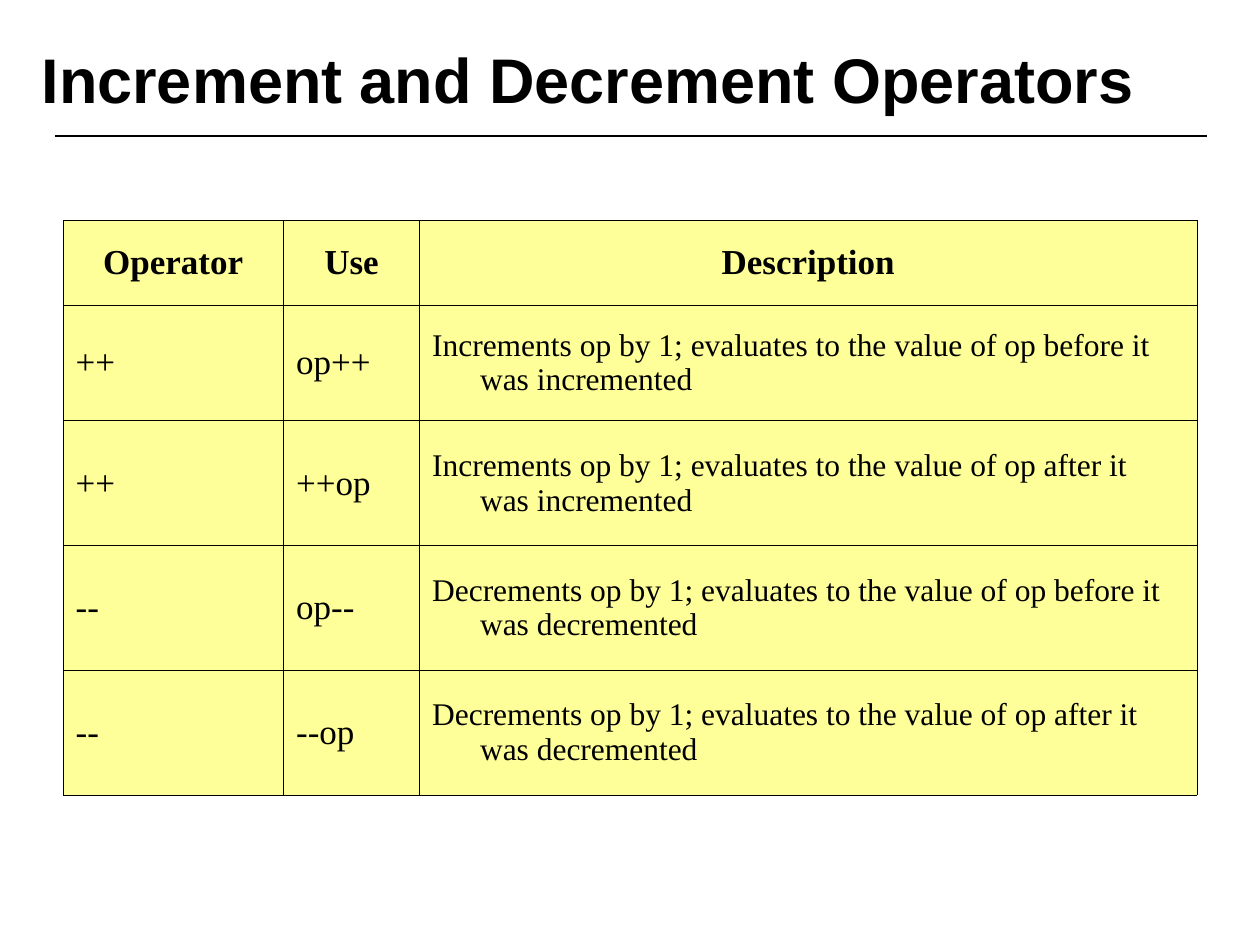
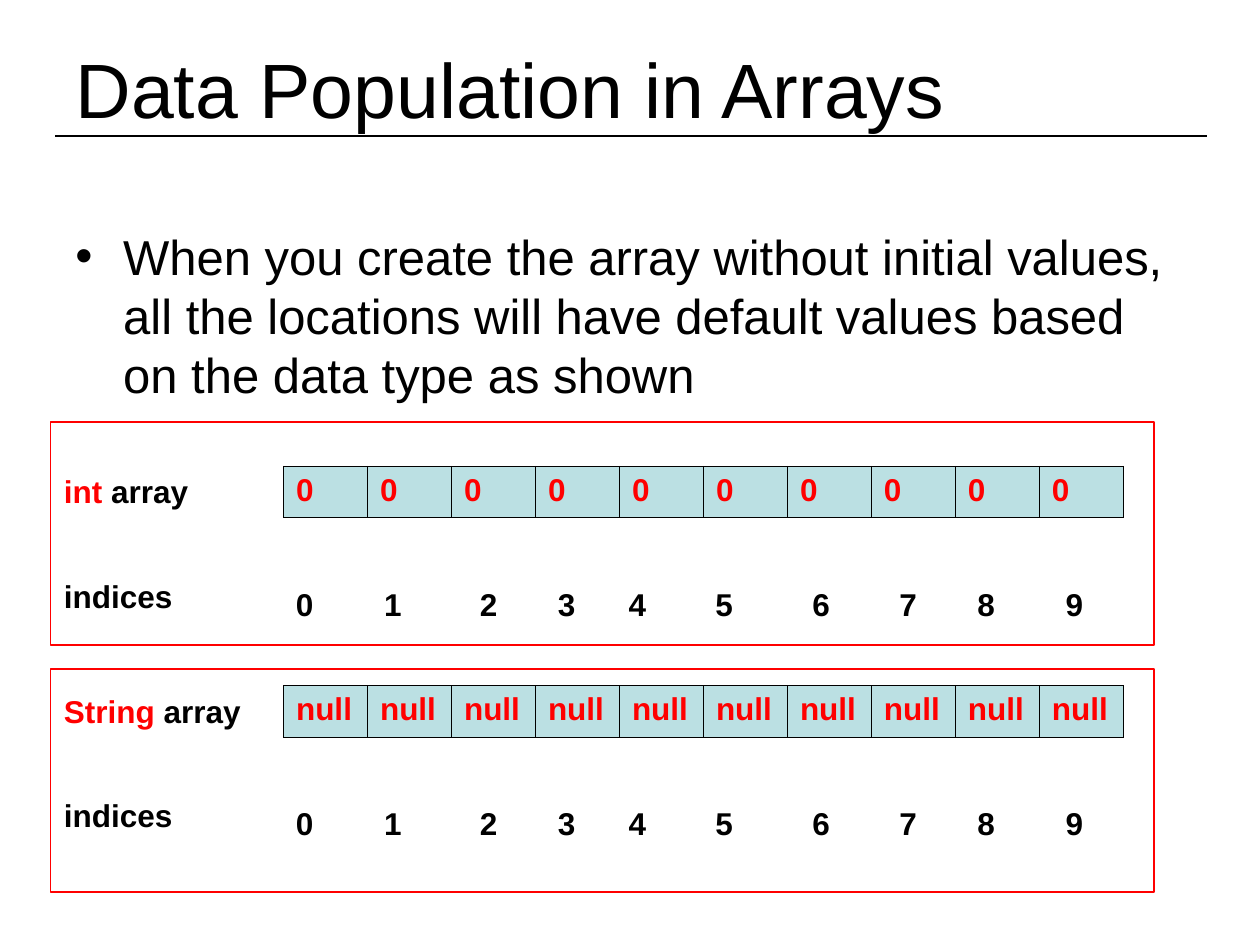
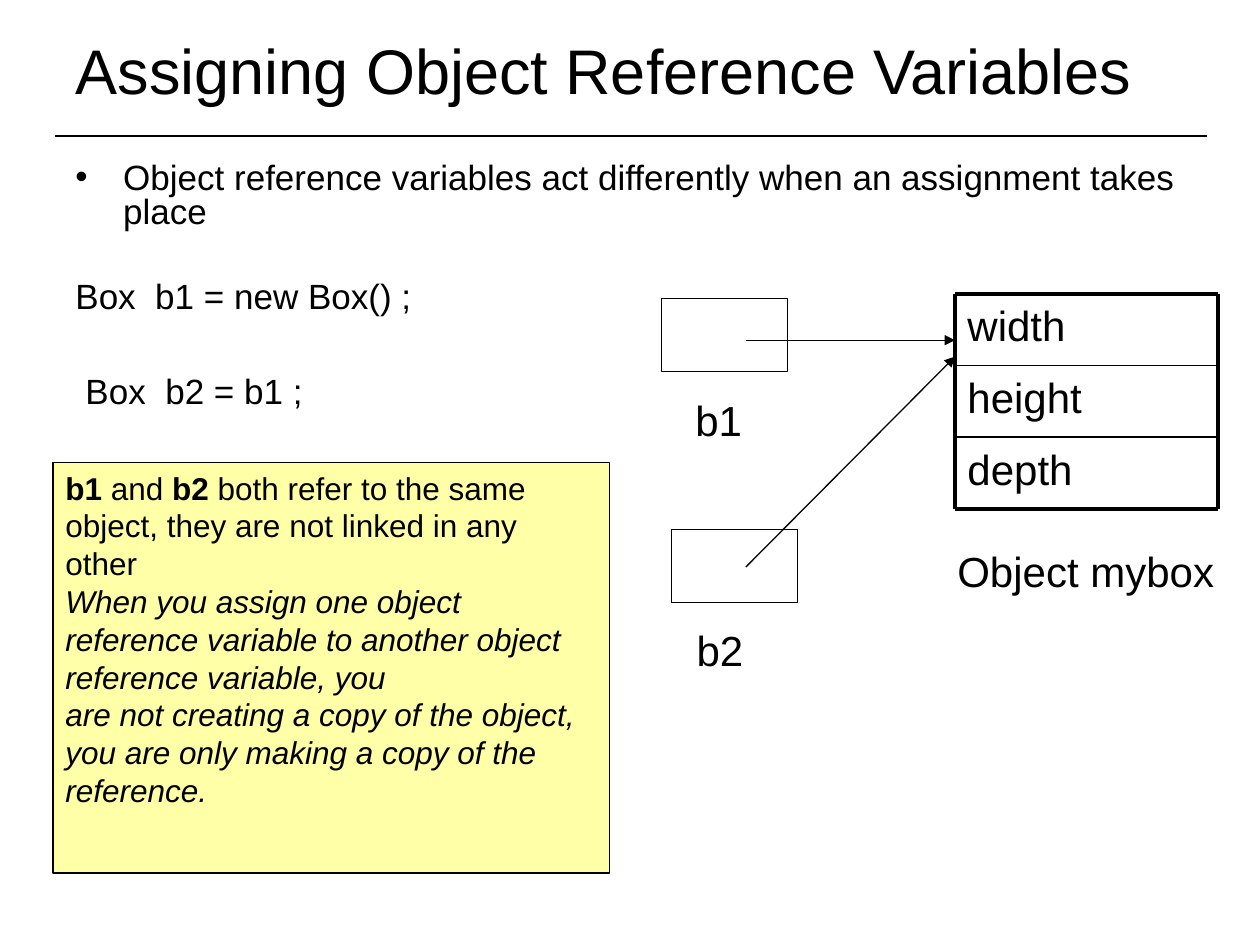
from lxml import etree
from pptx import Presentation
from pptx.dml.color import RGBColor
from pptx.enum.shapes import MSO_CONNECTOR, MSO_SHAPE
from pptx.enum.text import MSO_ANCHOR, MSO_AUTO_SIZE, PP_ALIGN
from pptx.oxml.ns import qn
from pptx.util import Inches, Pt

LEFT, CENTER = PP_ALIGN.LEFT, PP_ALIGN.CENTER
TOP, MIDDLE = MSO_ANCHOR.TOP, MSO_ANCHOR.MIDDLE
RECT, STRAIGHT = MSO_SHAPE.RECTANGLE, MSO_CONNECTOR.STRAIGHT
NO_FIT = MSO_AUTO_SIZE.NONE

COLS, ROWS = 10, 7.5  # the slide as a grid of one-inch cells
TITLE_ONLY = 5
HANG = 0.38
COLORS = {"ink": "000000", "red": "FF0000", "table": "FFFF99",
          "note": "FFFFA7", "cell": "BBE0E3"}


def rgb(name):
    return RGBColor.from_string(COLORS[name])


def grid(*cells):
    return [Inches(c) for c in cells]


# Text
def write(tf, paras, size=18, font="Arial", color="ink", bold=False,
          italic=False, align=LEFT, anchor=TOP, wrap=True, hang=0,
          bullet=False, spacing=None, tabs=()):
    """Fill a frame; a paragraph is a string or a list of (text, overrides)."""
    tf.word_wrap = wrap
    tf.auto_size = NO_FIT
    tf.vertical_anchor = anchor
    tf.margin_left = tf.margin_right = Inches(0.1)
    tf.margin_top = tf.margin_bottom = Inches(0.05)
    for i, para in enumerate(paras):
        p = tf.add_paragraph() if i else tf.paragraphs[0]
        format_paragraph(p, hang, bullet, tabs)
        p.alignment = align
        if spacing:
            p.line_spacing = spacing
        for text, changes in [(para, {})] if isinstance(para, str) else para:
            r = p.add_run()
            r.text = text
            r.font.name = font
            r.font.size = Pt(size)
            r.font.bold = changes.get("bold", bold)
            r.font.italic = changes.get("italic", italic)
            r.font.color.rgb = rgb(changes.get("color", color))


def format_paragraph(p, hang, bullet, tabs):
    pPr = p._p.get_or_add_pPr()
    if hang:
        pPr.set("marL", str(Inches(hang)))
        pPr.set("indent", str(-Inches(hang)))
    if bullet:
        etree.SubElement(pPr, qn("a:buFont"), typeface="Arial")
        etree.SubElement(pPr, qn("a:buChar"), char="•")
    if tabs:
        stops = etree.SubElement(pPr, qn("a:tabLst"))
        for stop in tabs:
            etree.SubElement(stops, qn("a:tab"), pos=str(Inches(stop)), algn="l")


def add_text(slide, box, *paras, **style):
    sp = slide.shapes.add_textbox(*grid(*box))
    write(sp.text_frame, paras, **style)


# Shapes and lines
def add_box(slide, box, line="ink", fill=None):
    sp = slide.shapes.add_shape(RECT, *grid(*box))
    sp.shadow.inherit = False
    sp.line.color.rgb = rgb(line)
    sp.line.width = Pt(0.75)
    if fill:
        sp.fill.solid()
        sp.fill.fore_color.rgb = rgb(fill)
    else:
        sp.fill.background()
    return sp


def add_line(slide, x1, y1, x2, y2, width=0.75, arrow=False):
    line = slide.shapes.add_connector(STRAIGHT, *grid(x1, y1, x2, y2))
    line.line.color.rgb = rgb("ink")
    line.line.width = Pt(width)
    if arrow:
        etree.SubElement(line.line._get_or_add_ln(), qn("a:tailEnd"), type="triangle")
    etree.SubElement(line._element.spPr, qn("a:effectLst"))


# Tables
def add_grid_table(slide, x, y, widths, heights, border):
    table = slide.shapes.add_table(
        len(heights), len(widths), *grid(x, y, sum(widths), sum(heights))).table
    table.first_row = table.horz_banding = False
    for col, width in zip(table.columns, widths):
        col.width = Inches(width)
    for row, height in zip(table.rows, heights):
        row.height = Inches(height)
    for cell in table.iter_cells():
        add_borders(cell, border)
    return table


def add_borders(cell, width):
    tcPr = cell._tc.get_or_add_tcPr()
    for side in ("lnL", "lnR", "lnT", "lnB"):
        ln = etree.SubElement(tcPr, qn("a:" + side), w=str(Pt(width)))
        fill = etree.SubElement(ln, qn("a:solidFill"))
        etree.SubElement(fill, qn("a:srgbClr"), val=COLORS["ink"])


def fill_cell(cell, text, fill, anchor=TOP, **style):
    cell.fill.solid()
    cell.fill.fore_color.rgb = rgb(fill)
    write(cell.text_frame, [text], **style)
    cell.vertical_anchor = anchor
    cell.margin_left = cell.margin_right = Inches(0.1)
    cell.margin_top = cell.margin_bottom = Inches(0.05)


# Shared frame: title and rule
def add_titled_slide(prs, title, box, size=36, bold=False):
    slide = prs.slides.add_slide(prs.slide_layouts[TITLE_ONLY])
    add_line(slide, 0.44, 1.08, 9.58, 1.08)
    sp = slide.shapes.title
    sp.left, sp.top, sp.width, sp.height = grid(*box)
    write(sp.text_frame, [title], size=size, bold=bold, anchor=MIDDLE)
    return slide


# Slide 1
def operators_slide(prs):
    slide = add_titled_slide(prs, "Increment and Decrement Operators",
                             (0.23, 0.3, 9.5, 0.65), bold=True)
    rows = [("Operator", "Use", "Description")]
    for sign, verb in (("++", "Increment"), ("--", "Decrement")):
        for use, when in (("op" + sign, "before"), (sign + "op", "after")):
            rows.append((sign, use, f"{verb}s op by 1; evaluates to the value "
                                    f"of op {when} it was {verb.lower()}ed"))
    table = add_grid_table(slide, 0.5, 1.75, [1.75, 1.08, 6.17],
                           [0.67, 0.92] + [0.99] * 3, border=0.34)
    for i, row in enumerate(rows):
        for j, text in enumerate(row):
            header = i == 0
            fill_cell(table.cell(i, j), text, "table", anchor=MIDDLE,
                      font="Times New Roman", hang=HANG, bold=header,
                      size=20 if header or j < 2 else 18,
                      align=CENTER if header else LEFT)


# Slide 2
def add_array(slide, y, kind, value, frame_y):
    count, x = 10, 2.25
    table = add_grid_table(slide, x, y, [2 / 3] * count, [0.41], border=0.45)
    for cell in table.iter_cells():
        fill_cell(cell, value, "cell", color="red", bold=True)
    add_text(slide, (0.41, y, 1.6, 0.4),
             [(kind, {"color": "red"}), (" array", {})], bold=True)
    add_text(slide, (0.41, y + 0.83, 1.06, 0.4), "indices", bold=True, wrap=False)
    add_text(slide, (x, y + 0.89, 6.67, 0.4),
             "\t".join(str(i) for i in range(count)), bold=True,
             tabs=(0.7, 1.46, 2.08, 2.64, 3.33, 4.1, 4.79, 5.41, 6.11))
    add_box(slide, (0.4, frame_y, 8.76, 1.77), line="red")


def arrays_slide(prs):
    slide = add_titled_slide(prs, "Data Population in Arrays",
                             (0.5, 0.3, 9, 0.79), size=44)
    add_text(slide, (0.5, 1.75, 9, 1.6),
             "When you create the array without initial values, all the locations "
             "will have default values based on the data type as shown",
             size=28, hang=HANG, bullet=True)
    add_array(slide, 3.7, "int", "0", frame_y=3.35)
    add_array(slide, 5.44, "String", "null", frame_y=5.31)


# Slide 3
def add_object(slide, x, y, width, fields, row=0.57):
    right, bottom = x + width, y + row * len(fields)
    for i, field in enumerate(fields):
        add_text(slide, (x, y + i * row, width, row), field, size=24)
        add_line(slide, x, y + i * row, right, y + i * row, 1 if i else 2.25)
    add_line(slide, x, bottom, right, bottom, 2.25)
    for edge in (x, right):
        add_line(slide, edge, y, edge, bottom, 2.25)
    add_text(slide, (x - 0.08, bottom + 0.24, 2.24, 0.5), "Object mybox",
             size=24, wrap=False)


def add_reference(slide, name, box_x, box_y, label_x, start_y, end_y):
    add_box(slide, (box_x, box_y, 1, 0.58))
    add_text(slide, (label_x, box_y + 0.71, 0.57, 0.5), name, size=24, wrap=False)
    add_line(slide, 5.92, start_y, 7.58, end_y, arrow=True)


def references_slide(prs):
    slide = add_titled_slide(prs, "Assigning Object Reference Variables",
                             (0.5, 0.3, 9, 0.5))
    add_text(slide, (0.5, 1.25, 9, 0.75),
             "Object reference variables act differently when an assignment "
             "takes place", size=20, hang=HANG, bullet=True, spacing=0.8)
    add_text(slide, (0.5, 2.13, 3.75, 0.53), "Box  b1 = new Box() ;", size=20)
    add_text(slide, (0.58, 2.88, 3.75, 0.53), "Box  b2 = b1 ;", size=20)

    add_object(slide, 7.58, 2.33, 2.09, ["width", "height", "depth"])
    add_reference(slide, "b1", 5.25, 2.37, 5.42, 2.7, 2.7)
    add_reference(slide, "b2", 5.33, 4.2, 5.43, 4.5, 2.83)

    bold, italic = {"bold": True}, {"italic": True}
    note = add_box(slide, (0.42, 3.67, 4.42, 3.26), fill="note")
    write(note.text_frame, [
        [("b1 ", bold), ("and ", {}), ("b2 ", bold),
         ("both refer to the same object, they are not linked in any other", {})],
        [("When you assign one object reference variable to another object "
          "reference variable, you", italic)],
        [("are not creating a copy of the object, you are only making a copy "
          "of the reference.", italic)]])


def main():
    prs = Presentation()
    prs.slide_width, prs.slide_height = grid(COLS, ROWS)
    operators_slide(prs)
    arrays_slide(prs)
    references_slide(prs)
    prs.save("out.pptx")


if __name__ == "__main__":
    main()
